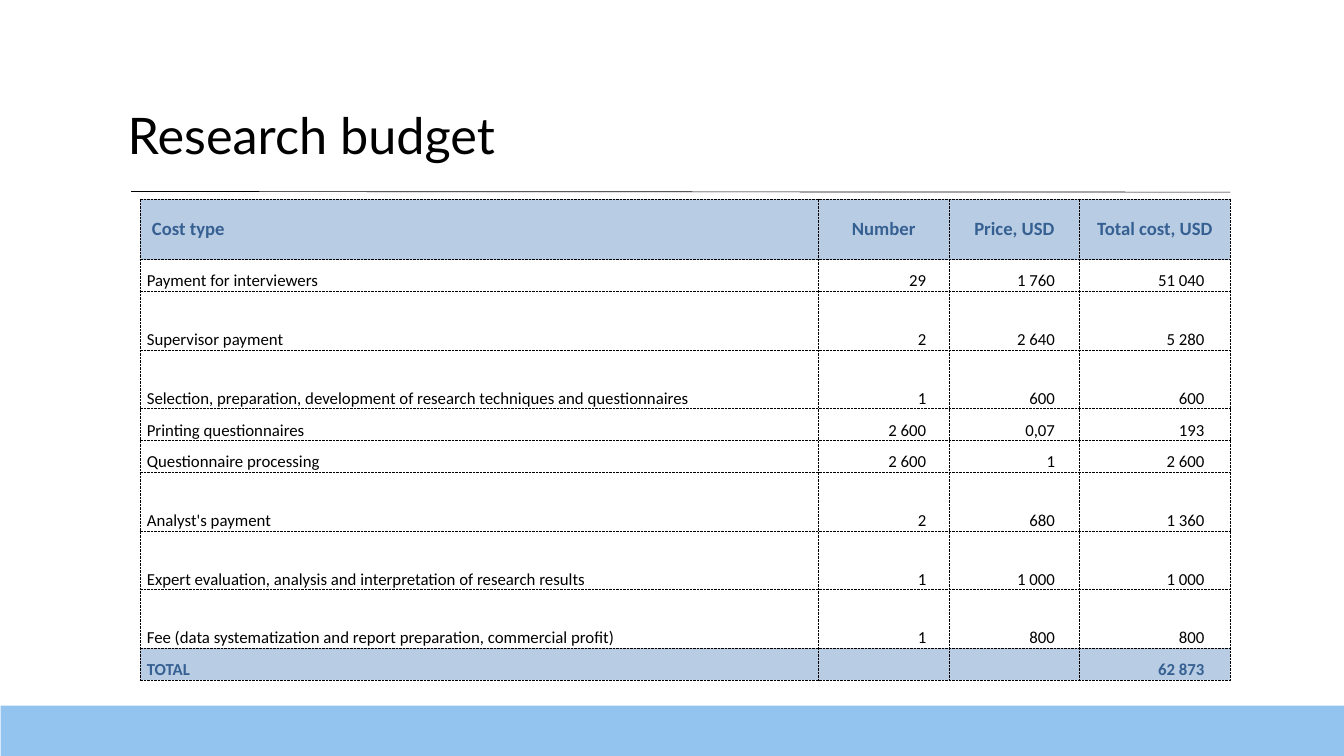
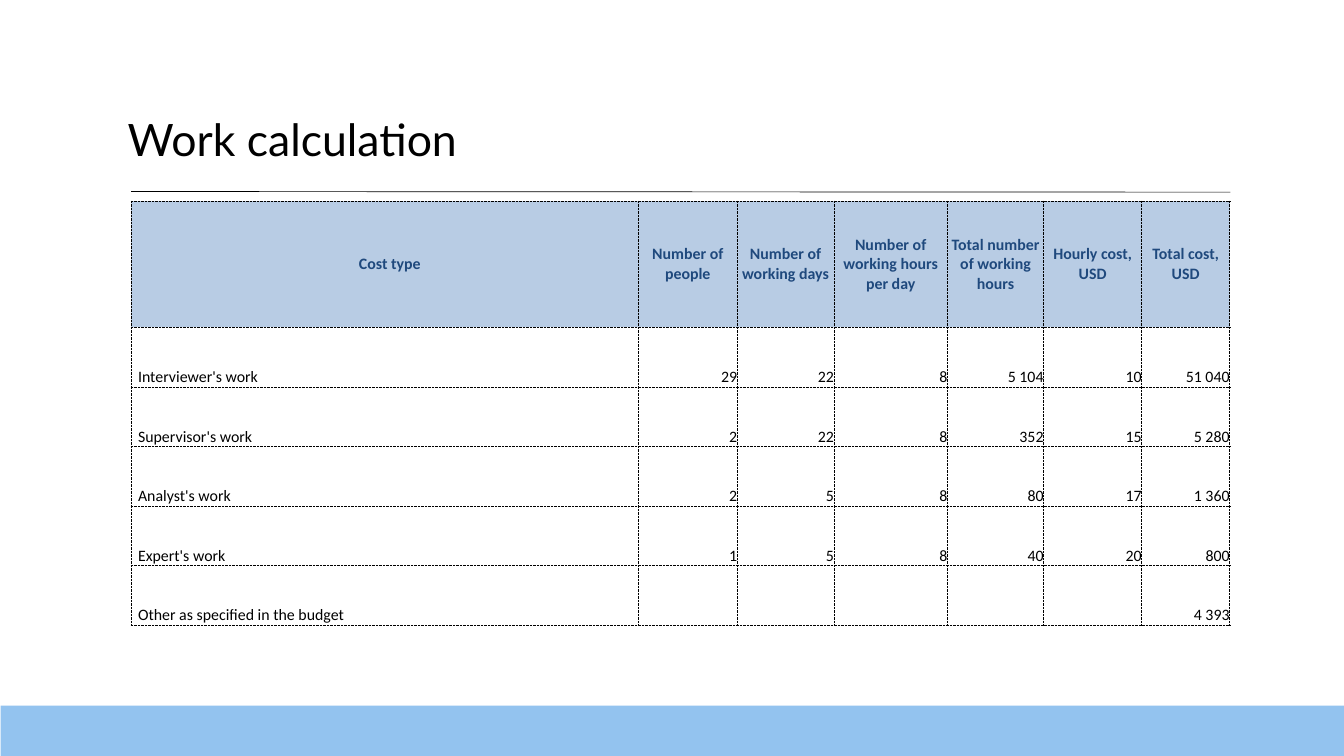
import pptx
import pptx.dml.color
import pptx.enum.shapes
import pptx.enum.text
import pptx.oxml
import pptx.oxml.ns
import pptx.util

Pt = pptx.util.Pt
RGBColor = pptx.dml.color.RGBColor
Align = pptx.enum.text.PP_ALIGN
Anchor = pptx.enum.text.MSO_ANCHOR

BLACK = RGBColor(0x00, 0x00, 0x00)
BAND_BLUE = RGBColor(0x93, 0xC3, 0xEF)
CELL_BLUE = RGBColor(0xB8, 0xCC, 0xE4)
BUDGET_BLUE = RGBColor(0x36, 0x60, 0x92)
WORK_BLUE = RGBColor(0x1F, 0x49, 0x7D)

TITLE_FONT = "Lato"
TABLE_FONT = "Calibri"
SLIDE_WIDTH, SLIDE_HEIGHT = 1440, 810
RULE_LEFT, RULE_RIGHT = 140.4, 1318.3
TEXT_INDENT = 7.5

BUDGET_ROWS = [
    ["Cost type", "Number", "Price, USD", "Total cost, USD"],
    ["Payment for interviewers", "29", "1 760", "51 040"],
    ["Supervisor payment", "2", "2 640", "5 280"],
    ["Selection, preparation, development of research techniques and questionnaires",
     "1", "600", "600"],
    ["Printing questionnaires", "2 600", "0,07", "193"],
    ["Questionnaire processing", "2 600", "1", "2 600"],
    ["Analyst's payment", "2", "680", "1 360"],
    ["Expert evaluation, analysis and interpretation of research results",
     "1", "1 000", "1 000"],
    ["Fee (data systematization and report preparation, commercial profit)",
     "1", "800", "800"],
    ["TOTAL", "", "", "62 873"],
]
WORK_ROWS = [
    ["Cost type", "Number of people", "Number of working days",
     "Number of working hours per day", "Total number of working hours",
     "Hourly cost, USD", "Total cost, USD"],
    ["Interviewer's work", "29", "22", "8", "5 104", "10", "51 040"],
    ["Supervisor's work", "2", "22", "8", "352", "15", "5 280"],
    ["Analyst's work", "2", "5", "8", "80", "17", "1 360"],
    ["Expert's work", "1", "5", "8", "40", "20", "800"],
    ["Other as specified in the budget", "", "", "", "", "", "4 393"],
]


class Deck:
    """Holds the shared style and the slide being built."""

    def __init__(self):
        self.presentation = pptx.Presentation()
        self.presentation.slide_width = Pt(SLIDE_WIDTH)
        self.presentation.slide_height = Pt(SLIDE_HEIGHT)
        self.slide = None

    def new_slide(self, title, top, height, size, spacing):
        layout = self.presentation.slide_layouts[6]
        self.slide = self.presentation.slides.add_slide(layout)
        self.rule()
        self.title(title, top, height, size, spacing)
        self.band()

    def rule(self):
        line = self.slide.shapes.add_connector(
            pptx.enum.shapes.MSO_CONNECTOR.STRAIGHT,
            Pt(RULE_LEFT), Pt(205.2), Pt(RULE_RIGHT), Pt(205.9))
        line.line.color.rgb = BLACK
        line.line.width = Pt(0.75)
        properties = line._element.spPr
        properties.append(pptx.oxml.parse_xml(
            f'<a:effectLst {pptx.oxml.ns.nsdecls("a")}/>'))

    def title(self, text, top, height, size, spacing):
        box = self.slide.shapes.add_textbox(Pt(136.8), Pt(top), Pt(1173.6), Pt(height))
        frame = box.text_frame
        frame.word_wrap = True
        frame.auto_size = pptx.enum.text.MSO_AUTO_SIZE.SHAPE_TO_FIT_TEXT
        frame.margin_left = frame.margin_right = frame.margin_top = frame.margin_bottom = 0
        paragraph = frame.paragraphs[0]
        paragraph.line_spacing = Pt(spacing)
        self.run(paragraph, text, TITLE_FONT, size, BLACK)

    def band(self):
        shape = self.slide.shapes.add_shape(
            pptx.enum.shapes.MSO_SHAPE.RECTANGLE, Pt(0.7), Pt(756), Pt(1439.3), Pt(54))
        shape.shadow.inherit = False
        shape.fill.solid()
        shape.fill.fore_color.rgb = BAND_BLUE
        shape.line.fill.background()

    def run(self, paragraph, text, font, size, color, bold=False):
        run = paragraph.add_run()
        run.text = text
        run.font.name = font
        run.font.size = Pt(size)
        run.font.color.rgb = color
        run.font.bold = bold

    def table(self, left, top, rows, widths, heights, sizes, accent,
              header_align, header_indent, right_margins, has_total=False):
        """Sizes are those of the header and of the body; accent colours bold rows."""
        frame = self.slide.shapes.add_table(
            len(rows), len(widths), Pt(left), Pt(top), Pt(sum(widths)), Pt(sum(heights)))
        table = frame.table
        table.first_row = table.horz_banding = False
        for column, width in zip(table.columns, widths):
            column.width = Pt(width)
        for row, height in zip(table.rows, heights):
            row.height = Pt(height)
        for row_index, texts in enumerate(rows):
            is_header = row_index == 0
            is_accent = is_header or (has_total and row_index == len(rows) - 1)
            for column_index, text in enumerate(texts):
                is_label = column_index == 0
                if is_header:
                    align = header_align if is_label else Align.CENTER
                    indent, right = (header_indent if is_label else 0), 0
                else:
                    align = Align.LEFT if is_label else Align.RIGHT
                    indent = TEXT_INDENT if is_label else 0
                    right = right_margins[column_index]
                cell = table.cell(row_index, column_index)
                self.cell_box(cell, CELL_BLUE if is_accent else None, indent, right)
                cell.vertical_anchor = Anchor.MIDDLE if is_header else Anchor.BOTTOM
                paragraph = cell.text_frame.paragraphs[0]
                paragraph.alignment = align
                if text:
                    self.run(paragraph, text, TABLE_FONT, sizes[0 if is_header else 1],
                             accent if is_accent else BLACK, is_accent)

    def cell_box(self, cell, fill, left_margin, right_margin):
        """Sets the margins, dotted borders and fill of a cell."""
        cell.margin_left, cell.margin_right = Pt(left_margin), Pt(right_margin)
        cell.margin_top = cell.margin_bottom = 0
        properties = cell._tc.get_or_add_tcPr()
        for side in ("lnL", "lnR", "lnT", "lnB"):
            properties.append(pptx.oxml.parse_xml(
                f'<a:{side} {pptx.oxml.ns.nsdecls("a")} w="{Pt(0.5)}">'
                f'<a:solidFill><a:srgbClr val="{BLACK}"/></a:solidFill>'
                f'<a:prstDash val="dot"/></a:{side}>'))
        if fill is None:
            cell.fill.background()
        else:
            cell.fill.solid()
            cell.fill.fore_color.rgb = fill


def main():
    deck = Deck()

    deck.new_slide("Research budget", 121, 57.6, 54, 55.1)
    short, tall = 34.2, 62.8
    deck.table(
        149.8, 213.1, BUDGET_ROWS,
        widths=[726.5, 141.1, 139, 162],
        heights=[65, short, tall, tall, short, short, tall, tall, tall, short],
        sizes=(20, 18), accent=BUDGET_BLUE,
        header_align=Align.LEFT, header_indent=13,
        right_margins=[0, 25, 26, 28], has_total=True)

    deck.new_slide("Work calculation", 128.2, 50.4, 47.8, 48.8)
    deck.table(
        RULE_LEFT, 215.3, WORK_ROWS,
        widths=[543.6, 105.8, 103.7, 121.7, 103, 105.1, 94.3],
        heights=[135.5] + [63.8] * 5,
        sizes=(17, 17), accent=WORK_BLUE,
        header_align=Align.CENTER, header_indent=11,
        right_margins=[0] * 7)

    deck.presentation.save("out.pptx")


if __name__ == "__main__":
    main()
